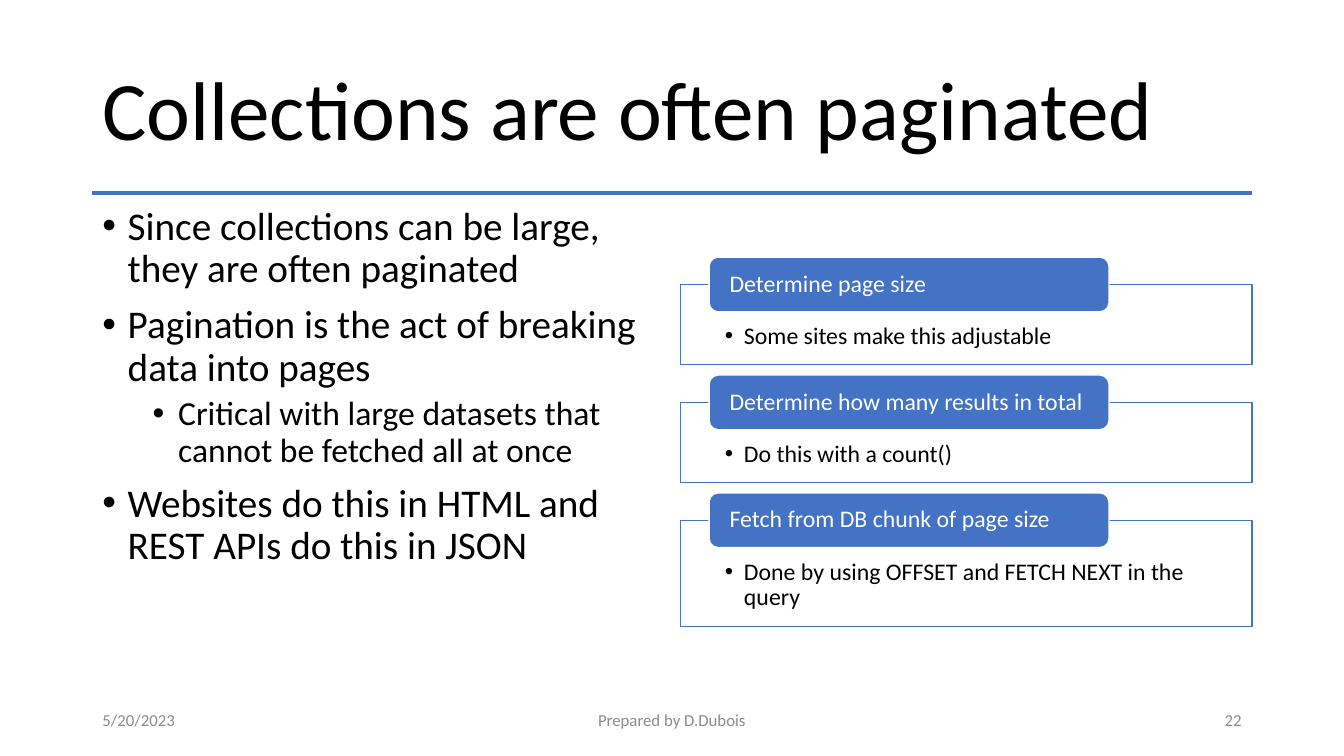
"""Build the slide on paginated collections."""
from dataclasses import dataclass

from lxml import etree
from pptx import Presentation
from pptx.dml.color import RGBColor
from pptx.enum.shapes import MSO_CONNECTOR, MSO_SHAPE
from pptx.enum.text import MSO_ANCHOR, PP_ALIGN
from pptx.oxml.ns import qn
from pptx.util import Cm, Pt

LEFT, CENTER, RIGHT = PP_ALIGN.LEFT, PP_ALIGN.CENTER, PP_ALIGN.RIGHT
TOP, MIDDLE = MSO_ANCHOR.TOP, MSO_ANCHOR.MIDDLE
RECTANGLE, ROUNDED = MSO_SHAPE.RECTANGLE, MSO_SHAPE.ROUNDED_RECTANGLE
STRAIGHT = MSO_CONNECTOR.STRAIGHT


@dataclass(frozen=True)
class Theme:
    font: str = "Calibri"
    accent: RGBColor = RGBColor(0x44, 0x72, 0xC4)
    ink: RGBColor = RGBColor(0, 0, 0)
    paper: RGBColor = RGBColor(0xFF, 0xFF, 0xFF)
    muted: RGBColor = RGBColor(0x8C, 0x8C, 0x8C)
    title: float = 59.4
    point: int = 28
    subpoint: int = 24
    step: int = 17
    footer: int = 12


theme = Theme()


def write(shape, lines, size, color, anchor=TOP, align=LEFT, insets=(0.25, 0.13, 0.25, 0.13)):
    """Fill a shape with paragraphs in one style."""
    frame = shape.text_frame
    frame.word_wrap = True
    frame.vertical_anchor = anchor
    frame.margin_left, frame.margin_top, frame.margin_right, frame.margin_bottom = map(Cm, insets)
    frame.text = "\n".join(lines)
    for paragraph in frame.paragraphs:
        paragraph.alignment = align
        paragraph.line_spacing = 0.9
        font = paragraph.runs[0].font
        font.name, font.size, font.color.rgb = theme.font, Pt(size), color
    return frame.paragraphs


def add_bullet(paragraph, margin, hanging):
    """Give a paragraph a round bullet with a hanging indent."""
    properties = paragraph._p.get_or_add_pPr()
    properties.set("marL", str(Cm(margin)))
    properties.set("indent", str(-Cm(hanging)))
    etree.SubElement(properties, qn("a:buFont")).set("typeface", "Arial")
    etree.SubElement(properties, qn("a:buChar")).set("char", "•")


deck = Presentation()
deck.slide_width, deck.slide_height = Cm(33.87), Cm(19.05)
slide = deck.slides.add_slide(deck.slide_layouts[6])
shapes = slide.shapes

title_rule = shapes.add_connector(STRAIGHT, Cm(2.33), Cm(4.86), Cm(31.54), Cm(4.86))
title_rule.line.color.rgb = theme.accent
title_rule.line.width = Pt(3)
etree.SubElement(title_rule._element.spPr, qn("a:effectLst"))

title = shapes.add_textbox(Cm(2.33), Cm(1.01), Cm(29.21), Cm(3.68))
write(title, ["Collections are often paginated"], theme.title, theme.ink, MIDDLE)

points = [
    (0, "Since collections can be large, they are often paginated"),
    (0, "Pagination is the act of breaking data into pages"),
    (1, "Critical with large datasets that cannot be fetched all at once"),
    (0, "Websites do this in HTML and REST APIs do this in JSON"),
]
overview = shapes.add_textbox(Cm(2.33), Cm(5.07), Cm(14.4), Cm(12.09))
paragraphs = write(overview, [text for _, text in points], theme.point, theme.ink)
for paragraph, (level, _) in zip(paragraphs, points):
    paragraph.level = level
    paragraph.space_before = Pt(5 if level else 10)
    paragraph.runs[0].font.size = Pt(theme.subpoint if level else theme.point)
    add_bullet(paragraph, 0.64 + 1.27 * level, 0.64)

steps = [
    ("Determine page size", "Some sites make this adjustable", 2.02),
    ("Determine how many results in total", "Do this with a count()", 2.02),
    ("Fetch from DB chunk of page size", "Done by using OFFSET and FETCH NEXT in the query", 2.68),
]
step_gap = 0.95
detail_top = 7.17
for heading, detail, height in steps:
    detail_box = shapes.add_shape(RECTANGLE, Cm(17.15), Cm(detail_top), Cm(14.4), Cm(height))
    heading_box = shapes.add_shape(ROUNDED, Cm(17.87), Cm(detail_top - 0.69), Cm(10.08), Cm(1.38))
    for box, fill, line in (
        (detail_box, theme.paper, theme.accent),
        (heading_box, theme.accent, theme.paper),
    ):
        box.shadow.inherit = False
        box.fill.solid()
        box.fill.fore_color.rgb = fill
        box.line.color.rgb = line
        box.line.width = Pt(1)
    detail_lines = write(detail_box, [detail], theme.step, theme.ink, insets=(1.12, 0.99, 1.12, 0.33))
    add_bullet(detail_lines[0], 0.48, 0.48)
    write(heading_box, [heading], theme.step, theme.paper, MIDDLE, insets=(0.45, 0, 0.45, 0))
    detail_top += height + step_gap

footers = [
    ("5/20/2023", 2.33, 7.62, LEFT),
    ("Prepared by D.Dubois", 11.22, 11.43, CENTER),
    ("22", 23.92, 7.62, RIGHT),
]
for text, left, width, align in footers:
    footer = shapes.add_textbox(Cm(left), Cm(17.66), Cm(width), Cm(1.01))
    write(footer, [text], theme.footer, theme.muted, MIDDLE, align)

deck.save("out.pptx")
